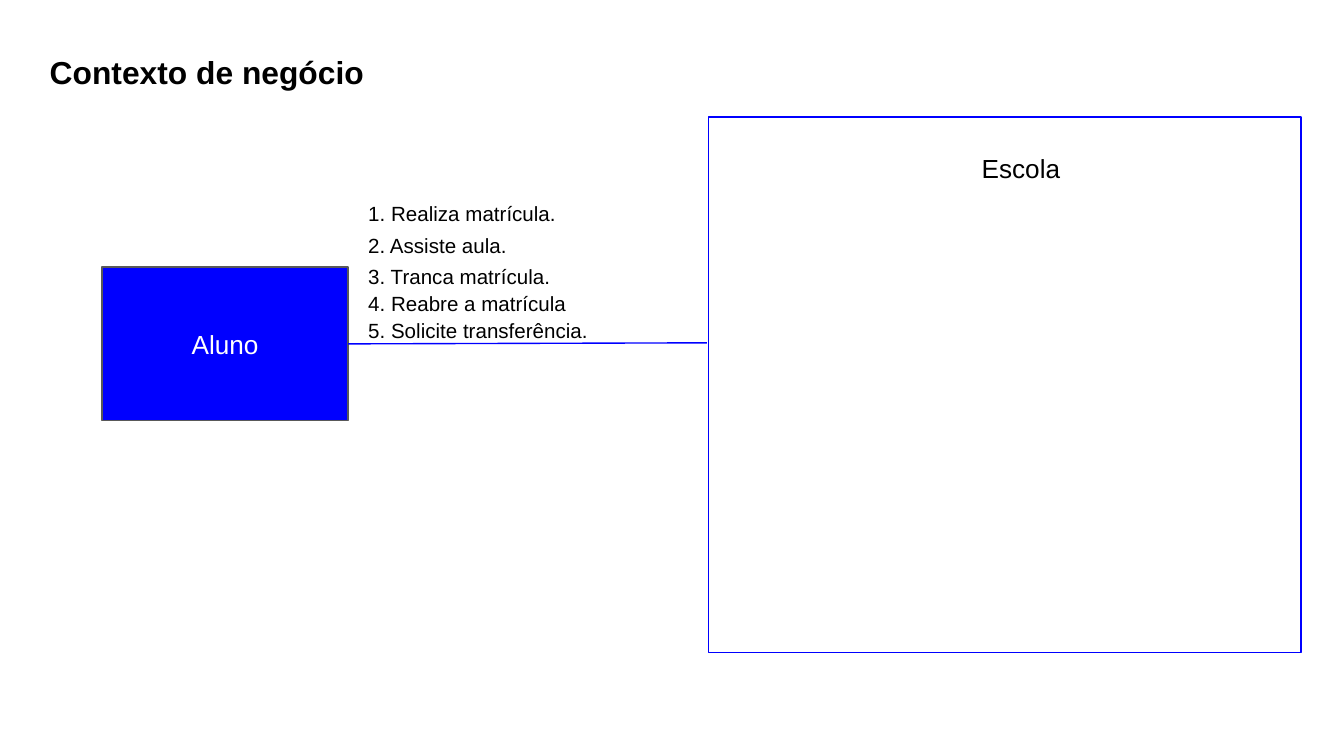
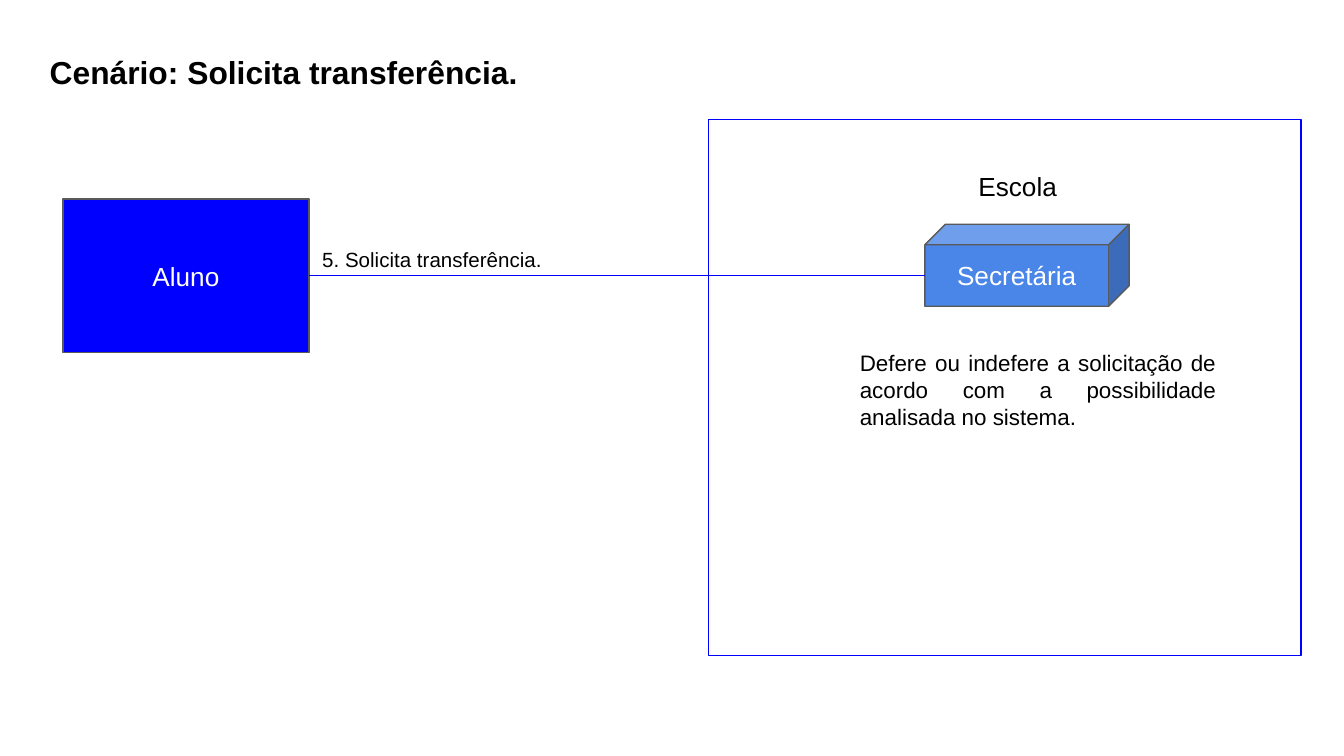
"""Builds two slides on how a student deals with a school."""
from lxml import etree
from pptx import Presentation, util as u
from pptx.dml.color import RGBColor
from pptx.enum import shapes, text
from pptx.oxml.ns import qn

HUES = {"ink": "000000", "paper": "FFFFFF", "blue": "0000FF",
        "sky": "4A86E8", "gray": "595959"}
KIND = shapes.MSO_SHAPE
SIDE = text.PP_ALIGN
MID = text.MSO_ANCHOR.MIDDLE
TOP = text.MSO_ANCHOR.TOP

LOOKS = {
    "title": {"size": 17, "bold": True},
    "label": {"size": 14},
    "mid": {"size": 14, "align": SIDE.CENTER},
    "step": {"size": 11},
    "note": {"size": 12, "align": SIDE.JUSTIFY},
    "frame": {"kind": KIND.RECTANGLE, "fill": "paper", "line": "blue"},
    "actor": {"kind": KIND.RECTANGLE, "fill": "blue", "line": "gray",
              "size": 14, "hue": "paper", "align": SIDE.CENTER},
    "cube": {"kind": KIND.CUBE, "fill": "sky", "line": "gray",
             "size": 14, "hue": "paper", "align": SIDE.CENTER},
}


def put(page, name, at, words=""):
    """Adds a shape or text box in a named look."""
    look = LOOKS[name]
    spot = [u.Cm(n) for n in at]
    if "kind" in look:
        item = page.shapes.add_shape(look["kind"], *spot)
        item.shadow.inherit = False
        item.fill.solid()
        item.fill.fore_color.rgb = RGBColor.from_string(HUES[look["fill"]])
        item.line.color.rgb = RGBColor.from_string(HUES[look["line"]])
        item.line.width = u.Pt(0.75)
    else:
        item = page.shapes.add_textbox(*spot)
    if words:
        frame = item.text_frame
        edge = {f"margin_{s}": u.Cm(0.25) for s in ("left", "top", "right", "bottom")}
        form = {"word_wrap": True, "vertical_anchor": MID if "kind" in look else TOP}
        for key, val in (edge | form).items():
            setattr(frame, key, val)
        para = frame.paragraphs[0]
        para.alignment = look.get("align", SIDE.LEFT)
        run = para.add_run()
        run.text = words
        face = {"name": "Arial", "size": u.Pt(look["size"]), "bold": look.get("bold", False)}
        for key, val in face.items():
            setattr(run.font, key, val)
        run.font.color.rgb = RGBColor.from_string(HUES[look.get("hue", "ink")])
    return item


def link(page, start, end):
    """Draws a line from the right side of a box to a point."""
    wire = page.shapes.add_connector(shapes.MSO_CONNECTOR.STRAIGHT, 0, 0, *map(u.Cm, end))
    wire.begin_connect(start, 3)
    wire.line.color.rgb = RGBColor.from_string(HUES["blue"])
    wire.line.width = u.Pt(0.75)
    etree.SubElement(wire.element.spPr, qn("a:effectLst"))


deck = Presentation()
deck.slide_width, deck.slide_height = u.Cm(25.4), u.Cm(14.29)

pages = []
for title, wide, top, left, high in (
        ("Contexto de negócio", 7.14, 2.21, 1.93, 5.05),
        ("Cenário: Solicita transferência.", 13.69, 2.26, 1.19, 3.76)):
    page = deck.slides.add_slide(deck.slide_layouts[6])
    put(page, "frame", (13.39, top, 11.2, 10.13))
    put(page, "title", (0.69, 0.74, wide, 1.55), title)
    pages.append((page, put(page, "actor", (left, high, 4.65, 2.9), "Aluno")))

page, pupil = pages[0]
link(page, pupil, (13.36, 6.48))
for top, step in ((3.56, "1. Realiza matrícula."),
                  (4.17, "2. Assiste aula."),
                  (4.75, "3. Tranca matrícula."),
                  (5.26, "4. Reabre a matrícula"),
                  (5.77, "5. Solicite transferência.")):
    put(page, "step", (6.71, top, 6.38, 1.17), step)
put(page, "mid", (17.35, 2.64, 3.89, 0.94), "Escola")

page, pupil = pages[1]
put(page, "step", (5.84, 4.44, 6.38, 1.17), "5. Solicita transferência.")
put(page, "label", (18.24, 2.97, 2.03, 1.75), "Escola")
put(page, "cube", (17.48, 4.24, 3.86, 1.55), "Secretária")
put(page, "note", (16, 6.35, 7.24, 2.01),
    "Defere ou indefere a solicitação de acordo com a possibilidade analisada no sistema.")
link(page, pupil, (17.48, 5.21))

deck.save("out.pptx")
